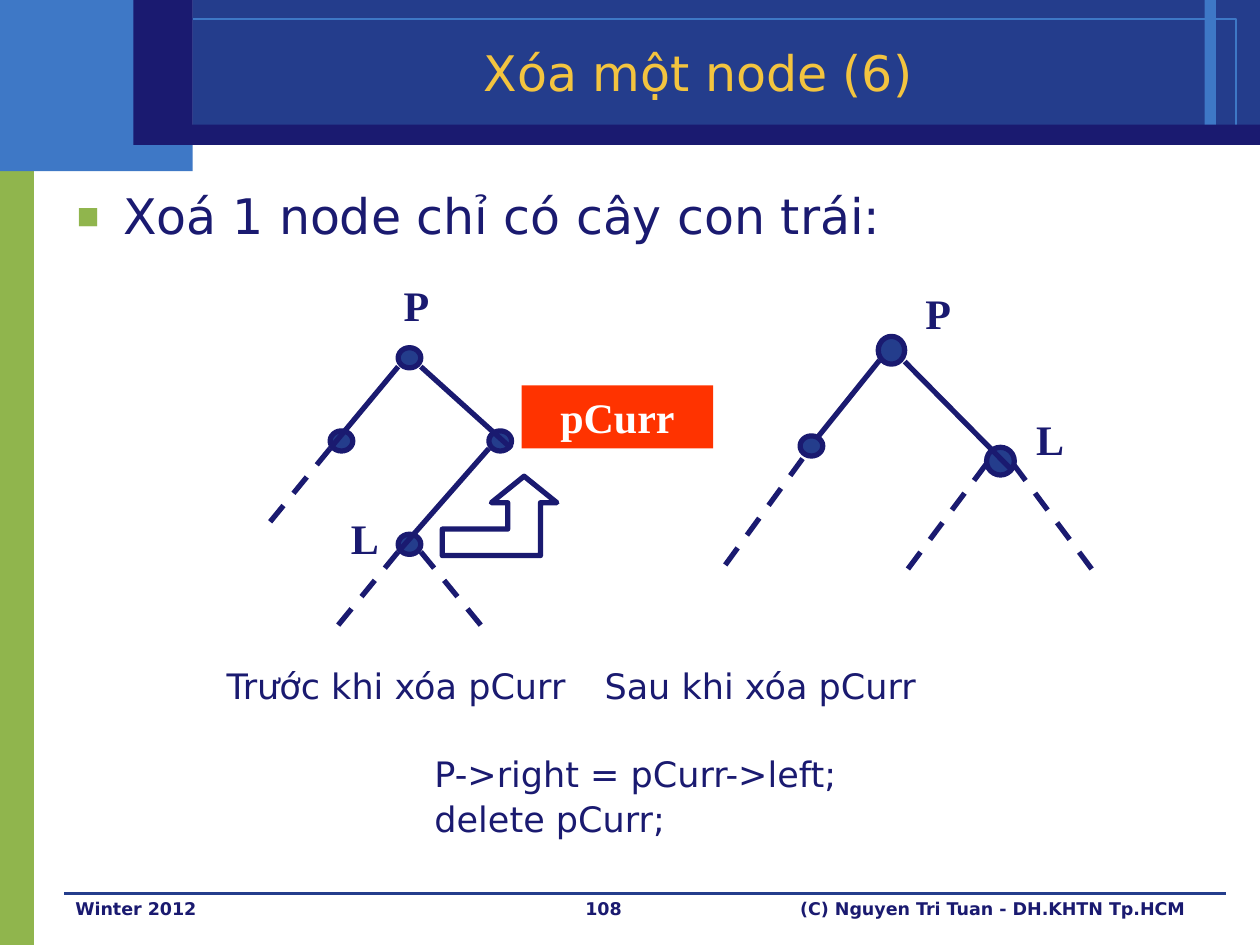
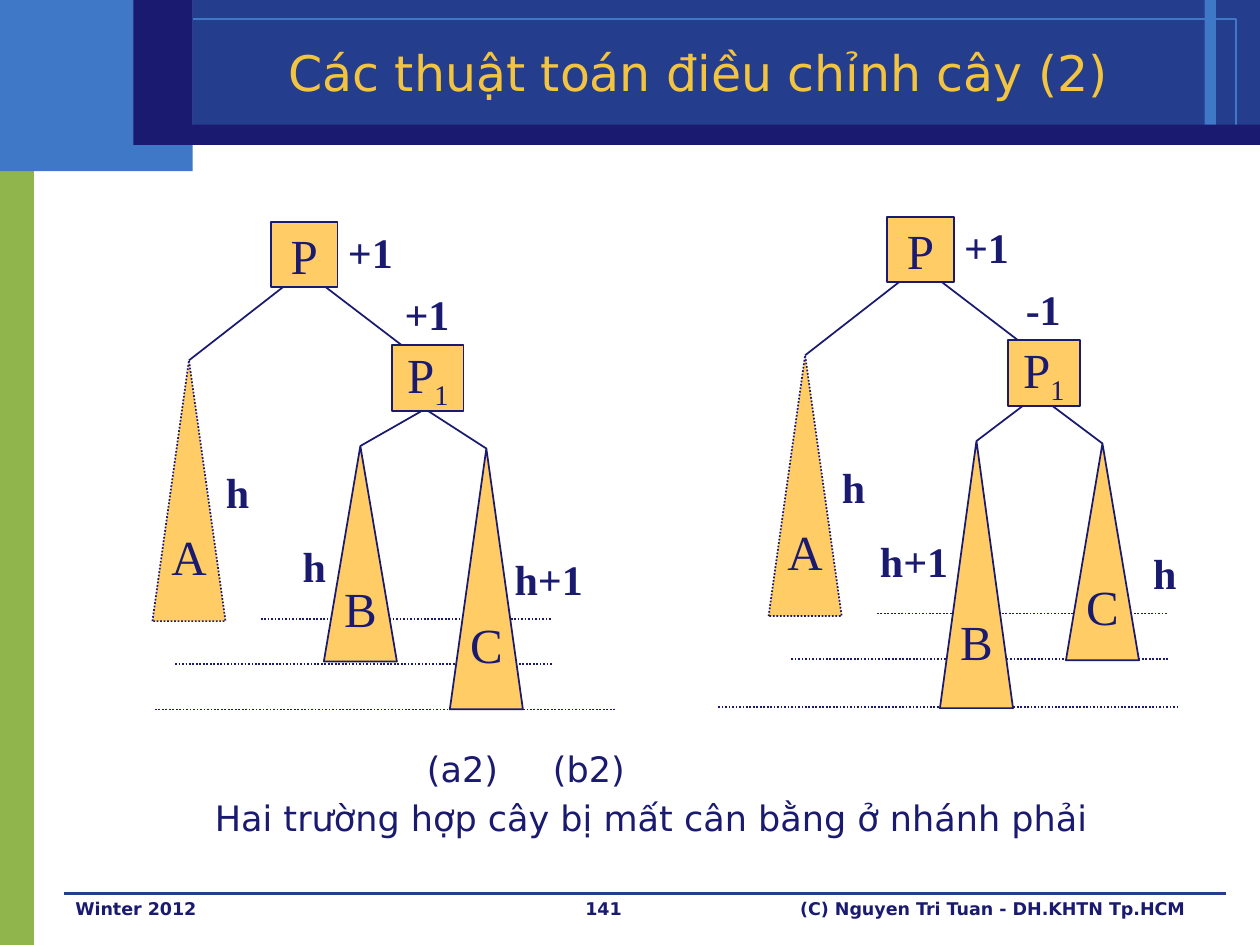
from lxml import etree
from pptx import Presentation
from pptx import util as u
from pptx.dml.color import RGBColor
from pptx.enum import dml, shapes, text
from pptx.oxml.ns import qn

SCALE = 9144  # EMU in one px, 100 px to the inch
NAVY, ROYAL, SKY, GREEN = "1A1A70", "243D8C", "3E78C6", "90B54D"
GOLD, AMBER, RED, WHITE = "F3C43F", "FFCC66", "FF3300", "FFFFFF"
SANS, SERIF = "DejaVu Sans", "Times New Roman"
RECT, OVAL = shapes.MSO_SHAPE.RECTANGLE, shapes.MSO_SHAPE.OVAL
TRIANGLE = shapes.MSO_SHAPE.ISOSCELES_TRIANGLE
LEFT, CENTER, RIGHT = text.PP_ALIGN.LEFT, text.PP_ALIGN.CENTER, text.PP_ALIGN.RIGHT
DASH, DOTS = dml.MSO_LINE.DASH, dml.MSO_LINE.ROUND_DOT
FOOTER = "Winter 2012", "(C) Nguyen Tri Tuan - DH.KHTN Tp.HCM"

LABEL = dict(name=SERIF, size=u.Pt(24), bold=True)
NODE = dict(name=SERIF, size=u.Pt(28))
HEADING = dict(name=SANS, size=u.Pt(28))
CAPTION = dict(name=SANS, size=u.Pt(20))
SMALL = dict(name=SANS, size=u.Pt(10), bold=True)


def px(*lengths):
    return [round(length * SCALE) for length in lengths]


def color(hex_code):
    return RGBColor.from_string(hex_code)


def style_line(line, hex_code, width, dash=None):
    line.color.rgb = color(hex_code)
    line.width = u.Pt(width)
    if dash:
        line.dash_style = dash


def paint(shape, fill=None, line=None, width=1, dash=None):
    shape.shadow.inherit = False
    if fill:
        shape.fill.solid()
        shape.fill.fore_color.rgb = color(fill)
    else:
        shape.fill.background()
    if line:
        style_line(shape.line, line, width, dash)
    else:
        shape.line.fill.background()
    return shape


def add_box(area, box, kind=RECT, **look):
    return paint(area.shapes.add_shape(kind, *px(*box)), **look)


def add_line(area, ends, width=1, dash=None, hex_code=NAVY):
    line = area.shapes.add_connector(shapes.MSO_CONNECTOR.STRAIGHT, *px(*ends))
    style_line(line.line, hex_code, width, dash)
    etree.SubElement(line._element.spPr, qn("a:effectLst"))
    return line


def add_span(para, words, font, hex_code=NAVY):
    span = para.add_run()
    span.text = words
    for key, value in font.items():
        setattr(span.font, key, value)
    span.font.color.rgb = color(hex_code)
    return span


def write(shape, words, font, hex_code=NAVY, align=CENTER, wrap=True):
    """Fill the first paragraph of a shape and return it."""
    shape.text_frame.word_wrap = wrap
    para = shape.text_frame.paragraphs[0]
    para.alignment = align
    add_span(para, words, font, hex_code)
    return para


def add_text(area, box, words, font, align=CENTER):
    shape = area.shapes.add_textbox(*px(*box))
    write(shape, words, font, align=align)
    return shape


def indent(para, margin, tab=None):
    props = para._p.get_or_add_pPr()
    props.set("marL", str(px(margin)[0]))
    props.set("indent", "0")
    if tab:
        stops = etree.SubElement(props, qn("a:tabLst"))
        etree.SubElement(stops, qn("a:tab"), pos=str(px(tab)[0]), algn="l")


def place(shape, box):
    shape.left, shape.top, shape.width, shape.height = px(*box)
    shape.text_frame.auto_size = text.MSO_AUTO_SIZE.NONE


def shifted(box, left, top):
    return (box[0] + left, box[1] + top, *box[2:])


def shifted_ends(ends, left, top):
    return [value + move for value, move in zip(ends, (left, top) * 2)]


def add_page(deck, layout, title, number):
    page = deck.slides.add_slide(deck.slide_layouts.get_by_name(layout))
    for box, fill in [
        ((0, 107, 27, 643), GREEN),
        ((0, 0, 153, 136), SKY),
        ((153, 0, 847, 115), ROYAL),
        ((956, 0, 9, 100), SKY),
    ]:
        add_box(page, box, fill=fill)
    add_box(page, (20, 15, 961, 85), line=SKY, width=0)
    add_line(page, (51, 709, 973, 709), 0, hex_code=ROYAL)
    add_box(page, (130, 99, 870, 16), fill=NAVY)
    add_box(page, (106, 0, 47, 115), fill=NAVY)

    heading = page.shapes.title
    page.shapes._spTree.append(heading._element)  # in front of the bands
    place(heading, (150, 26, 808, 62))
    heading.text_frame.vertical_anchor = text.MSO_ANCHOR.MIDDLE
    write(heading, title, HEADING, GOLD)

    term, author = FOOTER
    add_text(page, (50, 708, 233, 42), term, SMALL, LEFT)
    add_text(page, (400, 708, 158, 42), number, SMALL)
    add_text(page, (592, 708, 358, 42), author, SMALL, RIGHT)
    return page


def add_bullet(body, words):
    place(body, (50, 142, 917, 558))
    para = body.text_frame.paragraphs[0]
    props = para._p.get_or_add_pPr()
    props.set("marL", str(px(38)[0]))
    props.set("indent", str(px(-38)[0]))
    tint = etree.SubElement(props, qn("a:buClr"))
    etree.SubElement(tint, qn("a:srgbClr"), val=GREEN)
    etree.SubElement(props, qn("a:buSzPct"), val="150000")
    etree.SubElement(props, qn("a:buChar"), char="▪")
    para.space_before = u.Pt(0)
    write(body, words, HEADING, align=LEFT)


def add_link_tree(page, left, top, nodes, edges, open_edges, labels):
    """Round nodes, solid edges, and dashed edges to subtrees not shown."""
    tree = page.shapes.add_group_shape()
    for node in nodes:
        add_box(tree, shifted(node, left, top), OVAL, fill=ROYAL, line=NAVY, width=3)
    for group, dash in ((edges, None), (open_edges, DASH)):
        for ends in group:
            add_line(tree, shifted_ends(ends, left, top), 3, dash)
    for words, x, y in labels:
        add_text(tree, (left + x, top + y, 61, 50), words, LABEL)
    return tree


def add_tree_before(page, left, top):
    tree = add_link_tree(
        page, left, top,
        nodes=[(x, y, 18, 16) for x, y in ((108, 59), (54, 125), (180, 125), (108, 207))],
        edges=[(126, 74, 198, 139), (180, 139, 108, 221), (108, 74, 54, 139)],
        open_edges=[(54, 139, 0, 205), (108, 221, 54, 287), (126, 221, 180, 287)],
        labels=[("P", 92, 0), ("L", 51, 185)],
    )
    current = add_box(tree, (left + 206, top + 89, 152, 50), fill=RED)
    write(current, "pCurr", LABEL, WHITE)

    start, *corners = [
        (208, 161), (182, 182), (195, 182), (195, 203), (143, 203),
        (143, 224), (221, 224), (221, 182), (234, 182),
    ]
    outline = tree.shapes.build_freeform(*start, scale=SCALE)
    outline.add_line_segments(corners, close=True)
    arrow = outline.convert_to_shape(*px(left, top))
    paint(arrow, WHITE, NAVY, 3)


def add_tree_after(page, left, top):
    add_link_tree(
        page, left, top,
        nodes=[(124, 44, 21, 22), (210, 132, 22, 22), (62, 123, 18, 16)],
        edges=[(145, 64, 231, 151), (125, 63, 76, 124)],
        open_edges=[(64, 141, 0, 229), (210, 145, 145, 232), (231, 145, 296, 232)],
        labels=[("P", 141, 0), ("L", 230, 100)],
    )


def add_deletion_notes(page, box):
    notes = add_text(page, box, "Trước khi xóa pCurr\tSau khi xóa pCurr", CAPTION, LEFT)
    frame = notes.text_frame
    indent(frame.paragraphs[0], 72, tab=510)
    for code, gap in (("P->right = pCurr->left;", 29), ("delete pCurr;", 4)):
        para = frame.add_paragraph()
        indent(para, 237)
        para.space_before = u.Pt(gap)
        add_span(para, code, CAPTION)
    for para in frame.paragraphs:
        para.line_spacing = 0.9


def add_balance_tree(page, left, top, balance, b_height, c_height, b_label, c_label,
                     branch_feet, base):
    """A foot of None joins its branch to the middle of the box P1."""
    tree = page.shapes.add_group_shape()

    def line(*ends, dash=None):
        return add_line(tree, shifted_ends(ends, left, top), dash=dash)

    def node(words, box, kind=RECT, dash=None):
        shape = add_box(tree, shifted(box, left, top), kind, fill=AMBER, line=NAVY, dash=dash)
        shape.text_frame.vertical_anchor = text.MSO_ANCHOR.MIDDLE
        return shape, write(shape, words, NODE, wrap=False)

    base_left, base_top = base
    for start, end, level in (
        (87, 318, 316), (19, 318, 352), (base_left, base_left + 366, base_top),
    ):
        line(start, level, end, level, dash=DOTS)

    line(136, 51, 212, 109)
    a_branch = line(125, 37, 30, 111)
    node("P", (95, 1, 53, 52))
    child, child_para = node("P", (191, 99, 57, 52))
    add_span(child_para, "1", NODE).font._element.set("baseline", "-25000")

    a_tree, _ = node("A", (1, 111, 58, 207), TRIANGLE, DOTS)
    a_branch.end_connect(a_tree, 0)
    for words, box, foot in (
        ("B", (137, 179, 58, b_height), branch_feet[0]),
        ("C", (237, 181, 58, c_height), branch_feet[1]),
    ):
        subtree, _ = node(words, box, TRIANGLE)
        branch = line(foot or 219, 151, box[0] + 29, box[1])
        if foot is None:
            branch.begin_connect(child, 2)
        branch.end_connect(subtree, 0)

    b_width = 65 if b_label == "h" else 91
    for words, x, y, width in (
        ("+1", 146, 0, 56),
        (balance, 191, 49, 56),
        ("h", 36, 190, 65),
        (b_label, 162 - b_width, 249, b_width),
        (c_label, 273, 259, 85),
    ):
        add_text(tree, (left + x, top + y, width, 50), words, LABEL)


def add_case_notes(page, box):
    notes = add_text(page, box, "(a2)\t(b2)", CAPTION, LEFT)
    indent(notes.text_frame.paragraphs[0], 237, tab=699)
    para = notes.text_frame.add_paragraph()
    para.alignment = CENTER
    para.space_before = u.Pt(4)
    add_span(para, "Hai trường hợp cây bị mất cân bằng ở nhánh phải", CAPTION)


def build_deletion_page(deck):
    page = add_page(deck, "Title and Content", "Xóa một node (6)", "108")
    add_bullet(page.placeholders[1], "Xoá 1 node chỉ có cây con trái:")
    add_tree_before(page, 208, 217)
    add_tree_after(page, 573, 223)
    add_deletion_notes(page, (98, 526, 850, 161))


def build_balance_page(deck):
    page = add_page(deck, "Title Only", "Các thuật toán điều chỉnh cây (2)", "141")
    add_case_notes(page, (92, 588, 850, 87))
    add_balance_tree(page, 120, 175, "+1", 171, 207, "h", "h+1", (215, None), (3, 388))
    add_balance_tree(page, 609, 171, "-1", 212, 172, "h+1", "h", (203, 226), (-39, 390))


def main():
    deck = Presentation()
    deck.slide_width, deck.slide_height = px(1000, 750)
    build_deletion_page(deck)
    build_balance_page(deck)
    deck.save("out.pptx")


if __name__ == "__main__":
    main()
